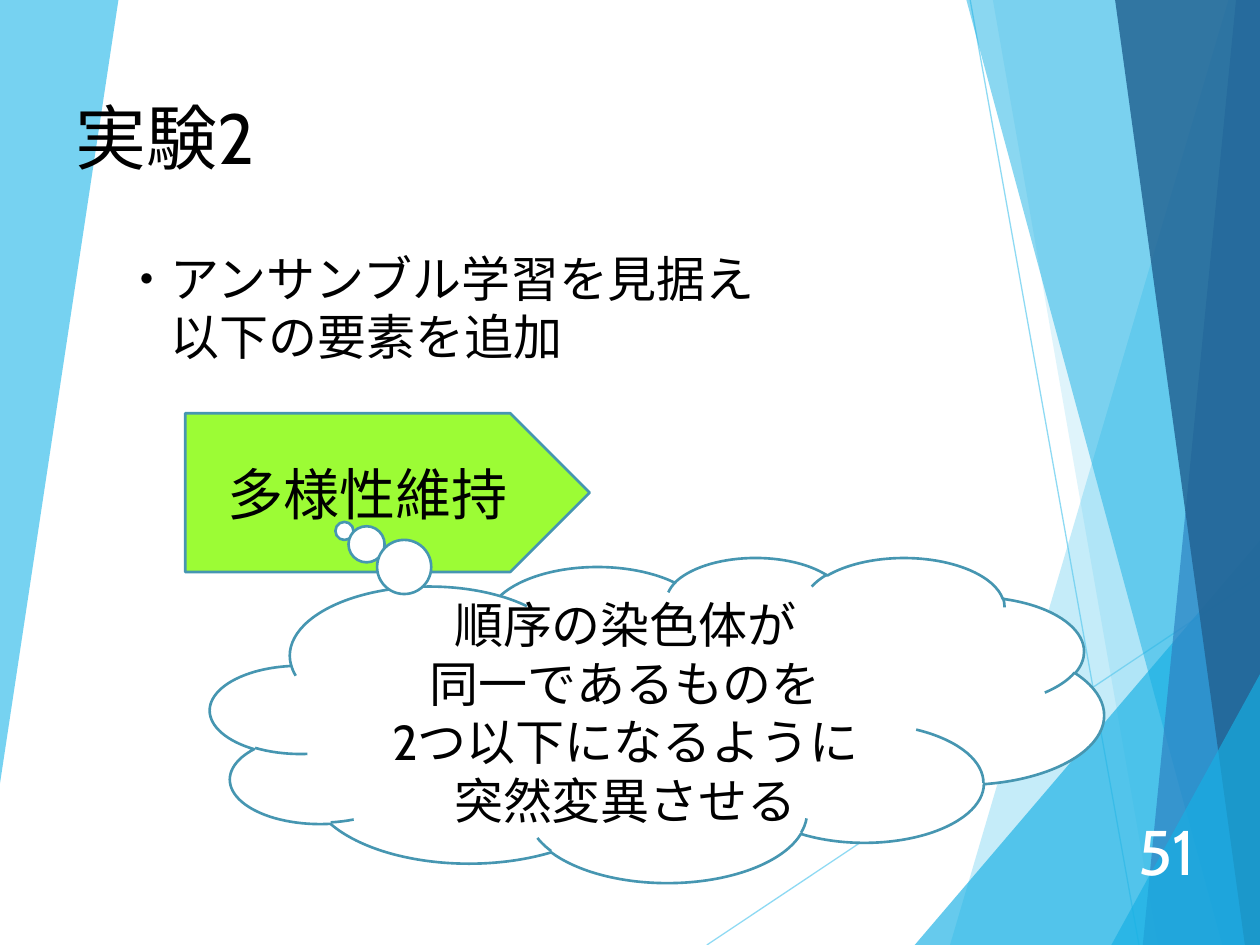
from lxml import etree
from pptx import Presentation, util as u
from pptx.dml.color import RGBColor
from pptx.enum import shapes, text
from pptx.oxml import ns

BLACK = RGBColor(0x00, 0x00, 0x00)
WHITE = RGBColor(0xFF, 0xFF, 0xFF)
LIME = RGBColor(0x9C, 0xFC, 0x35)
TEAL = RGBColor(0x46, 0x96, 0xB1)
SKY = RGBColor(0x5F, 0xCB, 0xEF)
CYAN = RGBColor(0x17, 0xB0, 0xE4)
BLUE = RGBColor(0x2E, 0x83, 0xC3)
NAVY = RGBColor(0x22, 0x62, 0x92)

RAYS = [
    ((5.61, 7.5), (10, 4.57)),
    ((7.7, 0), (9.04, 7.5)),
]
SHARDS = [
    (SKY, 36, [(9.75, 0), (7.54, 7.5), (10, 7.5), (10, 0)]),
    (SKY, 20, [(7.88, 0), (9.19, 7.5), (10, 7.5), (10, 0)]),
    (CYAN, 66, [(7.26, 7.5), (10, 4.29), (10, 7.5)]),
    (CYAN, 50, [(7.67, 0), (9.7, 7.5), (10, 7.5), (10, 0)]),
    (BLUE, 70, [(9.81, 0), (9.07, 7.5), (10, 7.5), (10, 0)]),
    (NAVY, 82, [(8.85, 0), (9.88, 7.5), (10, 7.5), (10, 0)]),
    (CYAN, 66, [(8.82, 7.5), (10, 5.35), (10, 7.5)]),
    (SKY, 85, [(0, 0), (0.94, 0), (0, 6.22)]),
]


class Deck:
    font = "Cabin"
    edge = 1.5

    def __init__(self, slide):
        self.slide = slide
        self.shapes = slide.shapes

    def fade(self, item, share):
        tint = item._element.spPr.find(".//" + ns.qn("a:srgbClr"))
        etree.SubElement(tint, ns.qn("a:alpha"), val=str(share * 1000))

    def ray(self, start, end):
        ends = [u.Inches(n) for n in start + end]
        ray = self.shapes.add_connector(shapes.MSO_CONNECTOR.STRAIGHT, *ends)
        ray.line.width = u.Pt(0.75)
        ray.line.color.rgb = SKY
        self.fade(ray, 70)
        etree.SubElement(ray._element.spPr, ns.qn("a:effectLst"))

    def shard(self, color, share, points):
        first, *rest = [(u.Inches(x), u.Inches(y)) for x, y in points]
        pen = self.shapes.build_freeform(*first)
        pen.add_line_segments(rest, close=True)
        shard = pen.convert_to_shape()
        shard.shadow.inherit = False
        shard.fill.solid()
        shard.fill.fore_color.rgb = color
        self.fade(shard, share)
        shard.line.fill.background()

    def words(self, frame, lines, size, color=BLACK, align="LEFT", anchor="TOP"):
        frame.word_wrap = True
        frame.vertical_anchor = text.MSO_ANCHOR[anchor]
        style = {"name": self.font, "size": u.Pt(size)}
        for i, line in enumerate(lines):
            para = frame.add_paragraph() if i else frame.paragraphs[0]
            para.alignment = text.PP_ALIGN[align]
            run = para.add_run()
            run.text = line
            for key, value in style.items():
                setattr(run.font, key, value)
            run.font.color.rgb = color

    def label(self, box, lines, size, **look):
        frame = self.shapes.add_textbox(*map(u.Inches, box)).text_frame
        self.words(frame, lines, size, **look)

    def block(self, kind, box, fill, lines, size, tail=()):
        block = self.shapes.add_shape(kind, *map(u.Inches, box))
        block.shadow.inherit = False
        block.fill.solid()
        block.fill.fore_color.rgb = fill
        block.line.color.rgb = TEAL
        block.line.width = u.Pt(self.edge)
        for i, value in enumerate(tail):
            block.adjustments[i] = value
        self.words(block.text_frame, lines, size, align="CENTER", anchor="MIDDLE")


def main():
    show = Presentation()
    show.slide_width = u.Inches(10)
    show.slide_height = u.Inches(7.5)
    deck = Deck(show.slides.add_slide(show.slide_layouts[6]))

    for ray in RAYS:
        deck.ray(*ray)
    for shard in SHARDS:
        deck.shard(*shard)

    deck.label((8.74, 6.48, 0.84, 0.53), ["51"], 36,
               color=WHITE, align="RIGHT", anchor="MIDDLE")
    deck.label((0.5, 0.69, 7.03, 0.78), ["実験2"], 40.5)
    deck.label((0.87, 1.92, 8.25, 1.04),
               ["・アンサンブル学習を見据え", "　以下の要素を追加"], 28)

    kind = shapes.MSO_SHAPE
    deck.block(kind.PENTAGON, (1.47, 3.28, 3.21, 1.26), LIME, ["多様性維持"], 32)
    deck.block(kind.CLOUD_CALLOUT, (1.67, 4.42, 7.09, 2.58), WHITE,
               ["順序の染色体が", "同一であるものを", "2つ以下になるように", "突然変異させる"],
               28, tail=(-0.35, -0.58))

    show.save("out.pptx")


if __name__ == "__main__":
    main()
